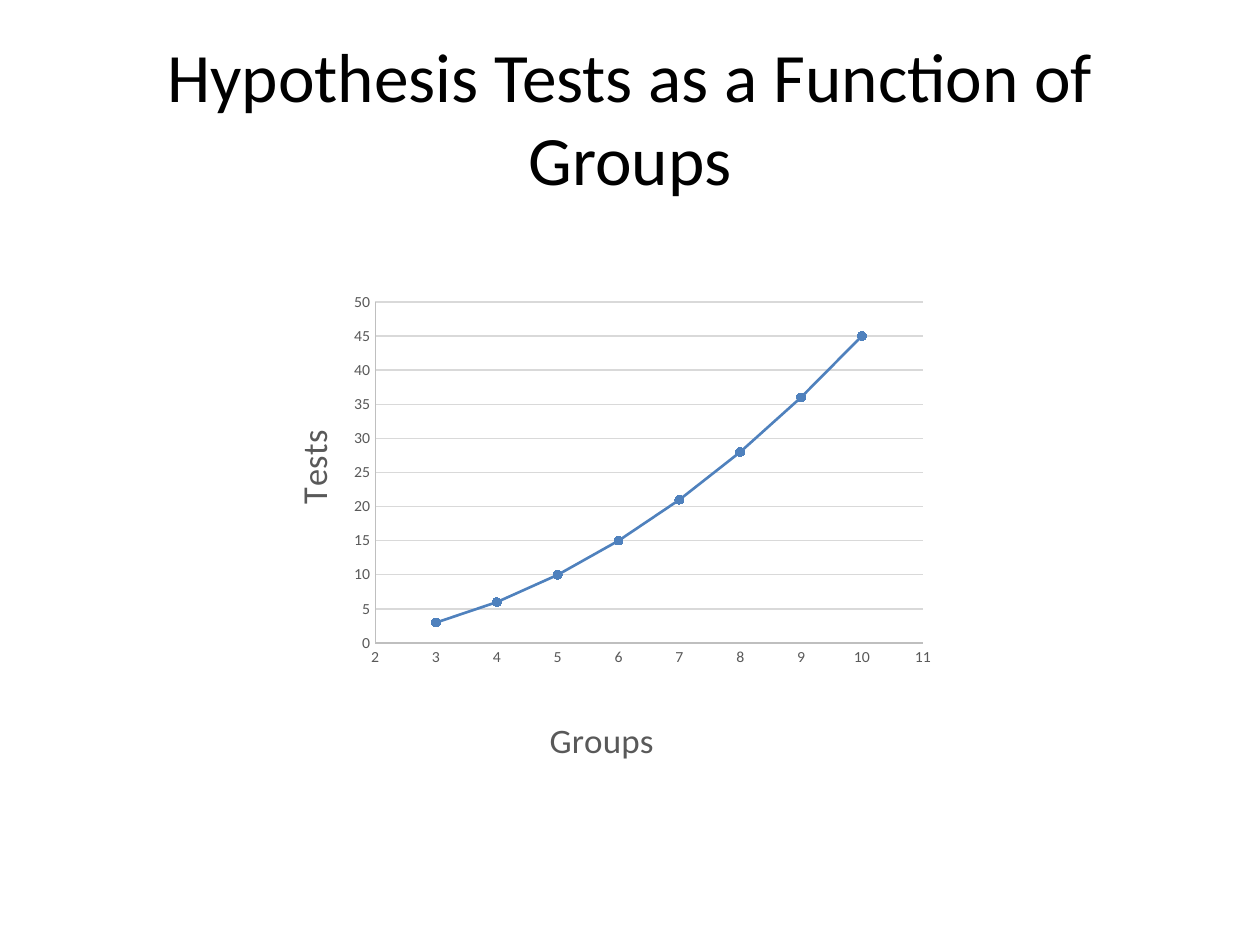
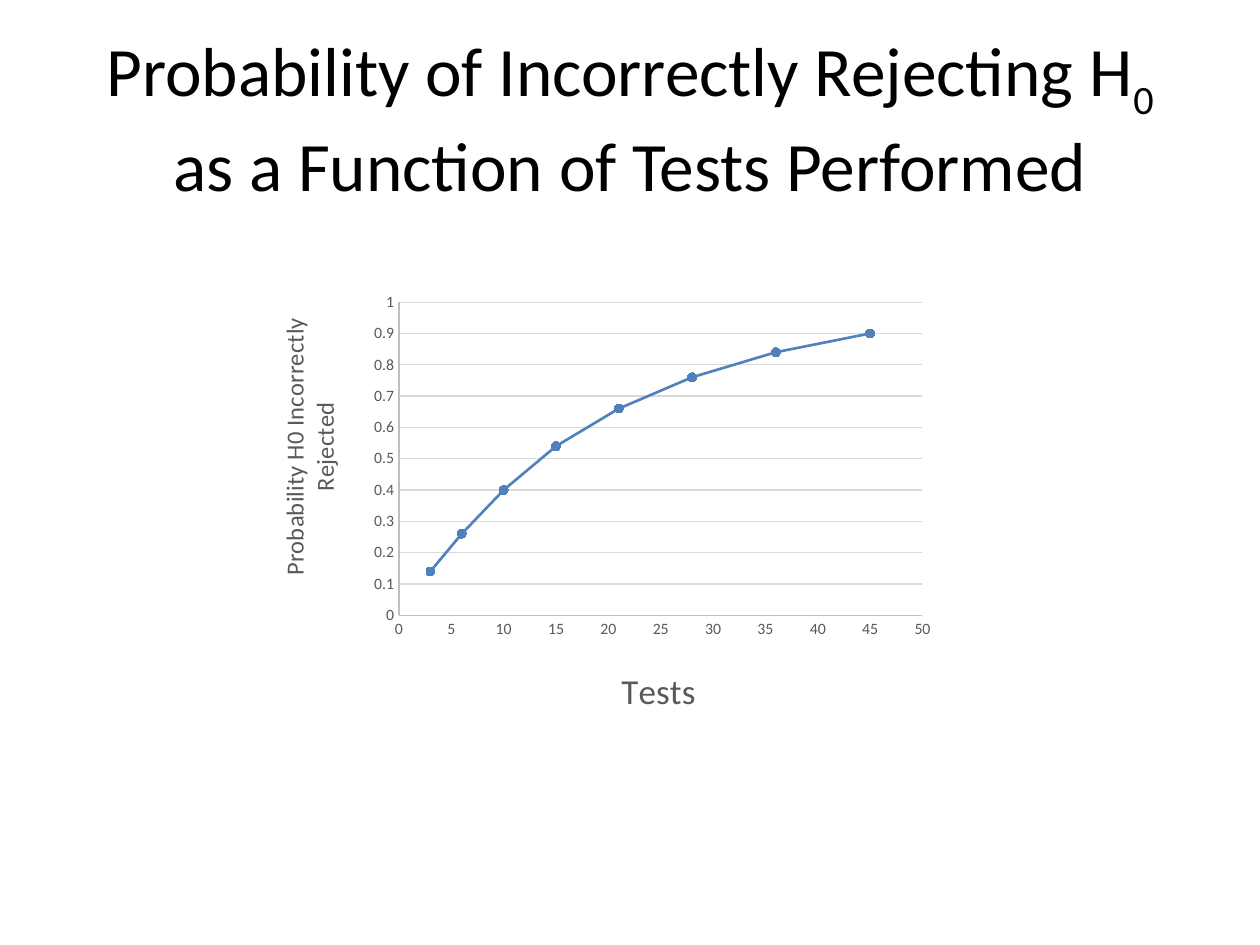
import pptx
import pptx.chart.data
import pptx.dml.color
import pptx.enum.chart
import pptx.enum.text
import pptx.oxml
import pptx.oxml.ns
import pptx.util
from pptx.util import Cm

COLORS = {"title": "000000", "label": "595959", "axis": "BFBFBF",
          "grid": "D9D9D9", "series": "4F81BD"}


def rgb(name):
    return pptx.dml.color.RGBColor.from_string(COLORS[name])


class Deck:
    """Holds the shared style and the current slide."""
    FONT = "Calibri"
    CHART_TOP, CHART_RIGHT = Cm(5.72), Cm(19.05)
    PLOT_TOP, PLOT_RIGHT = Cm(6.09), Cm(18.6)

    def __init__(self):
        self.prs = pptx.Presentation()
        self.prs.slide_width, self.prs.slide_height = Cm(25.4), Cm(19.05)
        self.s = None

    def new_slide(self):
        self.s = self.prs.slides.add_slide(self.prs.slide_layouts[5])

    def style_font(self, font, size, color):
        font.name, font.size, font.bold = self.FONT, pptx.util.Pt(size), False
        font.color.rgb = rgb(color)

    def style_line(self, line, color, width):
        line.color.rgb, line.width = rgb(color), pptx.util.Pt(width)

    def title(self, *runs):
        """Each run is a (text, baseline shift) pair."""
        sp = self.s.shapes.title
        sp.left, sp.top, sp.width, sp.height = Cm(1.27), Cm(0.76), Cm(22.86), Cm(3.18)
        tf = sp.text_frame
        tf.auto_size = pptx.enum.text.MSO_AUTO_SIZE.NONE
        tf.vertical_anchor = pptx.enum.text.MSO_ANCHOR.MIDDLE
        p = tf.paragraphs[0]
        p.alignment = pptx.enum.text.PP_ALIGN.CENTER
        for text, shift in runs:
            r = p.add_run()
            r.text = text
            self.style_font(r.font, 39.6, "title")
            if shift:
                r.font._element.set("baseline", str(shift * 1000))

    def place(self, parent, frame, left, top, right=None, bottom=None):
        """Fix a chart part at a slide position, given as fractions of the frame."""
        for old in parent.findall(pptx.oxml.ns.qn("c:layout")):
            parent.remove(old)
        values = {"xMode": "edge", "yMode": "edge",
                  "x": round((left - frame.left) / frame.width, 3),
                  "y": round((top - frame.top) / frame.height, 3)}
        if right is not None:
            values = {"layoutTarget": "inner", **values,
                      "w": round((right - left) / frame.width, 3),
                      "h": round((bottom - top) / frame.height, 3)}
        tags = "".join(f'<c:{tag} val="{val}"/>' for tag, val in values.items())
        layout = pptx.oxml.parse_xml(
            f'<c:layout {pptx.oxml.ns.nsdecls("c")}>'
            f'<c:manualLayout>{tags}</c:manualLayout></c:layout>')
        # The layout follows the text of a title, or comes first in a plot area
        has_text = parent.find(pptx.oxml.ns.qn("c:tx")) is not None
        parent.insert(1 if has_text else 0, layout)

    def axis(self, axis, frame, label, size, at, scale, vertical=False):
        axis.minimum_scale, axis.maximum_scale, axis.major_unit = scale
        axis.major_tick_mark = axis.minor_tick_mark = pptx.enum.chart.XL_TICK_MARK.NONE
        axis.has_major_gridlines = vertical
        if vertical:
            self.style_line(axis.major_gridlines.format.line, "grid", 0.75)
        self.style_line(axis.format.line, "axis", 0.75)
        self.style_font(axis.tick_labels.font, 9, "label")
        axis.tick_labels.number_format = "General"
        axis.tick_labels.number_format_is_linked = False
        tf = axis.axis_title.text_frame
        r = tf.paragraphs[0].add_run()
        r.text = label
        self.style_font(r.font, size, "label")
        if vertical:
            body = tf._txBody.bodyPr
            body.set("rot", "-5400000")
            body.set("vert", "horz")
        self.place(axis.axis_title._element, frame, *at)

    def scatter(self, points, left, height, plot_left, plot_bottom, x_axis, y_axis):
        data = pptx.chart.data.XyChartData()
        series = data.add_series("Series 1")
        for x, y in points:
            series.add_data_point(x, y)
        frame = self.s.shapes.add_chart(
            pptx.enum.chart.XL_CHART_TYPE.XY_SCATTER_LINES, left, self.CHART_TOP,
            self.CHART_RIGHT - left, height, data)
        chart = frame.chart
        chart.has_title = chart.has_legend = False
        self.style_font(chart.font, 10, "title")
        chart.plots[0].vary_by_categories = False

        # Line and markers
        ser = chart.plots[0].series[0]
        ser.smooth = False
        self.style_line(ser.format.line, "series", 1.5)
        ser.marker.style = pptx.enum.chart.XL_MARKER_STYLE.CIRCLE
        ser.marker.size = 5
        ser.marker.format.fill.solid()
        ser.marker.format.fill.fore_color.rgb = rgb("series")
        self.style_line(ser.marker.format.line, "series", 0.75)

        # Axes and plot area
        self.axis(chart.category_axis, frame, *x_axis)
        self.axis(chart.value_axis, frame, *y_axis, vertical=True)
        plot_area = chart._chartSpace.chart.plotArea
        self.place(plot_area, frame, plot_left, self.PLOT_TOP, self.PLOT_RIGHT, plot_bottom)


def main():
    deck = Deck()
    groups = range(3, 11)
    tests = [n * (n - 1) // 2 for n in groups]
    # Chance of at least one false rejection at the 5% level
    error_rates = [round(1 - 0.95 ** n, 2) for n in tests]

    # Slide 1: number of tests by number of groups
    deck.new_slide()
    deck.title(("Hypothesis Tests as a Function of Groups", 0))
    deck.scatter(zip(groups, tests), Cm(5.11), Cm(9.86), Cm(7.56), Cm(13.12),
                 ("Groups", 20, (Cm(10.95), Cm(14.5)), (2, 11, 1)),
                 ("Tests", 20, (Cm(5.7), Cm(8.63)), (0, 50, 5)))

    # Slide 2: error probability by number of tests
    deck.new_slide()
    deck.title(("Probability of Incorrectly Rejecting H", 0), ("0", -25),
               (" as a Function of Tests Performed", 0))
    deck.scatter(zip(tests, error_rates), Cm(5.36), Cm(9.07), Cm(8.04), Cm(12.4),
                 ("Tests", 20, (Cm(12.4), Cm(13.3)), (0, 50, 5)),
                 ("Probability H0 Incorrectly Rejected", 14, (Cm(5.5), Cm(6.32)), (0, 1, 0.1)))

    deck.prs.save("out.pptx")


if __name__ == "__main__":
    main()
